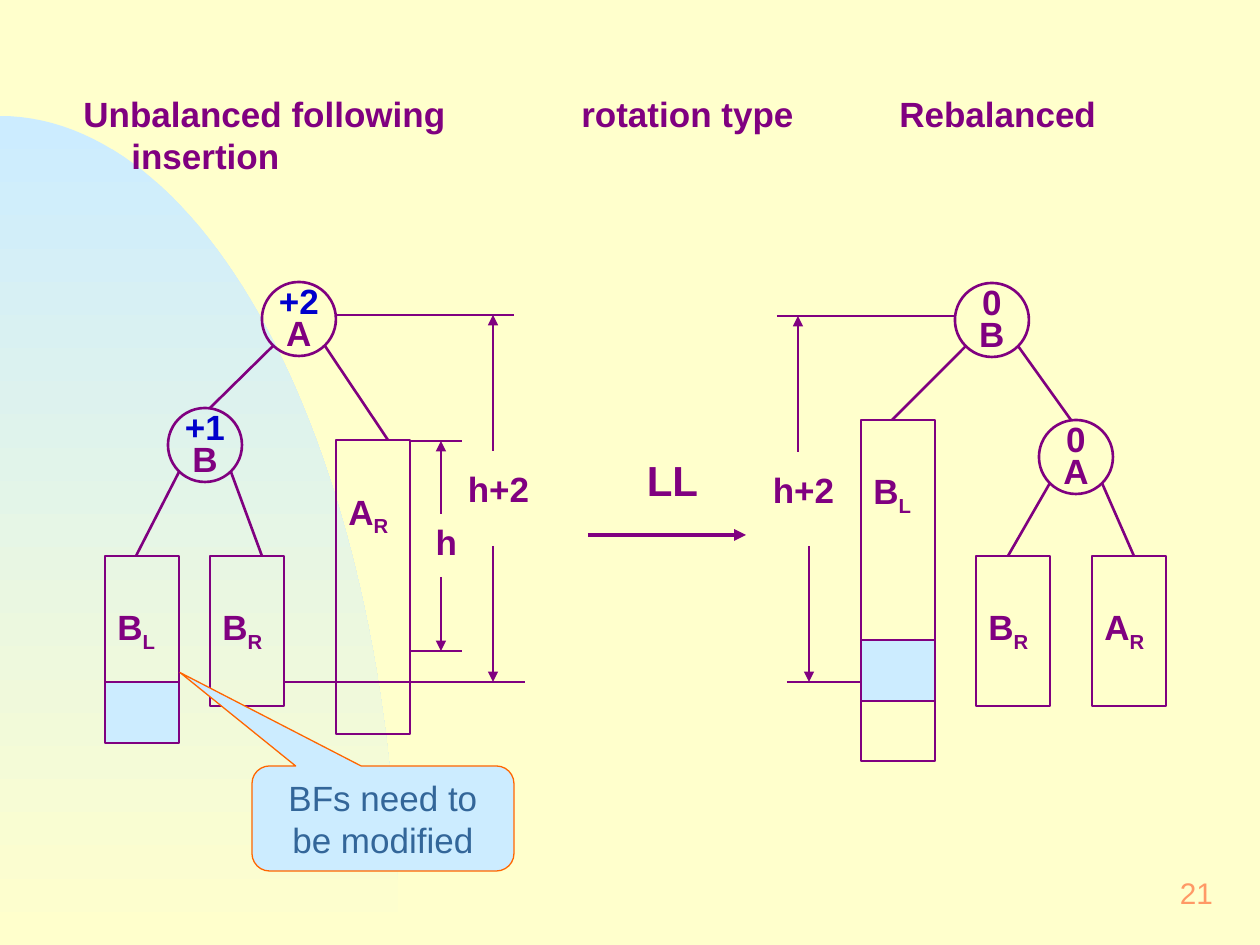
import math

from lxml import etree
from pptx import Presentation
from pptx import util as u
from pptx.dml.color import RGBColor
from pptx.enum import shapes, text
from pptx.oxml.ns import qn

PX = 914400 // 126
WIDTH, HEIGHT = 1260, 945
NODE = BAR_WIDTH = 74
COLORS = {
    "paper": "FFFFCC",
    "sky": "CCECFF",
    "purple": "800080",
    "blue": "0000CC",
    "steel": "336699",
    "orange": "FF6600",
    "peach": "FF9966",
}


def color(name):
    return RGBColor.from_string(COLORS[name])


class TreeSlide:
    """Holds the style and the current slide; all lengths are px."""

    font = "Arial"

    def __init__(self, slide):
        self.slide = slide
        slide.background.fill.solid()
        slide.background.fill.fore_color.rgb = color("paper")

    def run(self, paragraph, words, ink="purple", size=20, bold=True):
        run = paragraph.add_run()
        run.text = words
        run.font.name, run.font.size, run.font.bold = self.font, u.Pt(size), bold
        run.font.color.rgb = color(ink)
        return run

    def shape(self, kind, x, y, w, h, fill=None, line="purple", width=1.5):
        shape = self.slide.shapes.add_shape(kind, x * PX, y * PX, w * PX, h * PX)
        shape.shadow.inherit = False
        if fill:
            shape.fill.solid()
            shape.fill.fore_color.rgb = color(fill)
        else:
            shape.fill.background()
        shape.line.color.rgb = color(line)
        shape.line.width = u.Pt(width)
        return shape

    def text_box(self, x, y, w, h):
        frame = self.slide.shapes.add_textbox(x * PX, y * PX, w * PX, h * PX).text_frame
        frame.word_wrap = True
        return frame

    def label(self, words, x, y, w, h, size=20):
        paragraph = self.text_box(x, y, w, h).paragraphs[0]
        paragraph.alignment = text.PP_ALIGN.CENTER
        paragraph.line_spacing = 0.7
        self.run(paragraph, words, size=size)

    def node(self, factor, name, x, y, ink="purple"):
        """Draws a tree node with its balance factor above its name."""
        frame = self.shape(shapes.MSO_SHAPE.OVAL, x, y, NODE, NODE).text_frame
        frame.word_wrap = False
        frame.vertical_anchor = text.MSO_ANCHOR.MIDDLE
        frame.margin_left = frame.margin_right = frame.margin_bottom = 0
        frame.margin_top = 4 * PX
        lines = [frame.paragraphs[0], frame.add_paragraph()]
        for paragraph, words, shade in zip(lines, (factor, name), (ink, "purple")):
            paragraph.alignment = text.PP_ALIGN.CENTER
            paragraph.line_spacing = 0.75
            self.run(paragraph, words, shade)

    def subtree(self, name, side, x, y, h):
        frame = self.shape(shapes.MSO_SHAPE.RECTANGLE, x, y, BAR_WIDTH, h).text_frame
        frame.vertical_anchor = text.MSO_ANCHOR.TOP
        frame.margin_top = 50 * PX
        paragraph = frame.paragraphs[0]
        paragraph.alignment = text.PP_ALIGN.LEFT
        self.run(paragraph, name)
        self.run(paragraph, side).font._element.set("baseline", "-25000")

    def inserted(self, x, y):
        self.shape(shapes.MSO_SHAPE.RECTANGLE, x, y, BAR_WIDTH, 61, fill="sky")

    def line(self, x1, y1, x2, y2, width=1.5, arrow=False):
        line = self.slide.shapes.add_connector(
            shapes.MSO_CONNECTOR.STRAIGHT, x1 * PX, y1 * PX, x2 * PX, y2 * PX)
        line.line.color.rgb = color("purple")
        line.line.width = u.Pt(width)
        if arrow:
            etree.SubElement(line.line._get_or_add_ln(), qn("a:tailEnd"), type="triangle")
        etree.SubElement(line._element.spPr, qn("a:effectLst"))

    def backdrop(self, rx, ry, steps=60):
        """Draws the quarter ellipse in the bottom left corner."""
        angles = [math.pi / 2 * i / steps for i in range(steps + 1)]
        curve = [(round(rx * PX * math.sin(a)), round((HEIGHT - ry * math.cos(a)) * PX))
                 for a in angles]
        builder = self.slide.shapes.build_freeform(*curve[0])
        builder.add_line_segments(curve[1:] + [(0, HEIGHT * PX)], close=True)
        hill = builder.convert_to_shape()
        hill.shadow.inherit = False
        hill.line.fill.background()
        hill.fill.gradient()
        hill.fill.gradient_angle = 270
        for stop, name in zip(hill.fill.gradient_stops, ("sky", "paper")):
            stop.color.rgb = color(name)

    def headings(self):
        frame = self.text_box(71, 86, 1160, 97)
        columns, second = frame.paragraphs[0], frame.add_paragraph()
        tabs = etree.SubElement(columns._p.get_or_add_pPr(), qn("a:tabLst"))
        for stop in (498, 816):
            etree.SubElement(tabs, qn("a:tab"), pos=str(stop * PX), algn="l")
        self.run(columns, "Unbalanced following\trotation type\tRebalanced")
        second._p.get_or_add_pPr().set("marL", str(48 * PX))
        self.run(second, "insertion")

    def callout(self, words, x, y, w, h):
        shape = self.shape(shapes.MSO_SHAPE.ROUNDED_RECTANGULAR_CALLOUT, x, y, w, h,
                           "sky", "orange", 0.75)
        for i, value in enumerate((-0.775, -1.39, 0.167)):
            shape.adjustments[i] = value
        frame = shape.text_frame
        frame.vertical_anchor = text.MSO_ANCHOR.MIDDLE
        frame.paragraphs[0].alignment = text.PP_ALIGN.CENTER
        self.run(frame.paragraphs[0], words, "steel", bold=False)

    def page_number(self, number):
        frame = self.text_box(966, 861, 262, 63)
        frame.vertical_anchor = text.MSO_ANCHOR.MIDDLE
        frame.margin_left = frame.margin_right = 15 * PX
        frame.paragraphs[0].alignment = text.PP_ALIGN.RIGHT
        self.run(frame.paragraphs[0], number, "peach", 17, False)


def unbalanced_tree(page):
    page.node("+2", "A", 262, 282, "blue")
    page.node("+1", "B", 168, 408, "blue")
    page.subtree("B", "L", 105, 556, 150)
    page.subtree("B", "R", 210, 556, 150)
    page.subtree("A", "R", 336, 440, 294)
    page.inserted(105, 682)
    for edge in ((273, 346, 210, 408), (325, 346, 388, 440),
                 (179, 472, 136, 556), (231, 472, 262, 556)):
        page.line(*edge)
    for guide in ((284, 682, 525, 682), (336, 315, 514, 315),
                  (410, 651, 462, 651), (410, 441, 462, 441)):
        page.line(*guide, width=1)
    for arrow in ((441, 514, 441, 441), (441, 577, 441, 651),
                  (493, 451, 493, 315), (493, 546, 493, 682)):
        page.line(*arrow, width=1, arrow=True)
    page.label("h", 410, 526, 73, 43)
    page.label("h+2", 451, 473, 95, 43)


def rebalanced_tree(page):
    page.node("0", "B", 955, 283)
    page.node("0", "A", 1039, 420)
    page.subtree("B", "L", 861, 420, 341)
    page.subtree("B", "R", 976, 556, 150)
    page.subtree("A", "R", 1092, 556, 150)
    page.inserted(861, 640)
    for edge in ((966, 346, 892, 420), (1018, 346, 1071, 420),
                 (1050, 483, 1008, 556), (1102, 483, 1134, 556)):
        page.line(*edge)
    for guide in ((787, 682, 861, 682), (777, 316, 955, 316)):
        page.line(*guide, width=1)
    for arrow in ((798, 452, 798, 316), (809, 546, 809, 682)):
        page.line(*arrow, width=1, arrow=True)
    page.label("h+2", 756, 474, 95, 43)


def main():
    deck = Presentation()
    deck.slide_width, deck.slide_height = u.Inches(10), u.Inches(7.5)
    page = TreeSlide(deck.slides.add_slide(deck.slide_layouts[6]))
    page.backdrop(399, 829)
    page.page_number("21")
    page.headings()
    unbalanced_tree(page)
    page.label("LL", 620, 462, 105, 48, size=24)
    page.line(588, 535, 746, 535, width=2.25, arrow=True)
    rebalanced_tree(page)
    page.callout("BFs need to be modified", 252, 766, 262, 105)
    deck.save("out.pptx")


if __name__ == "__main__":
    main()
